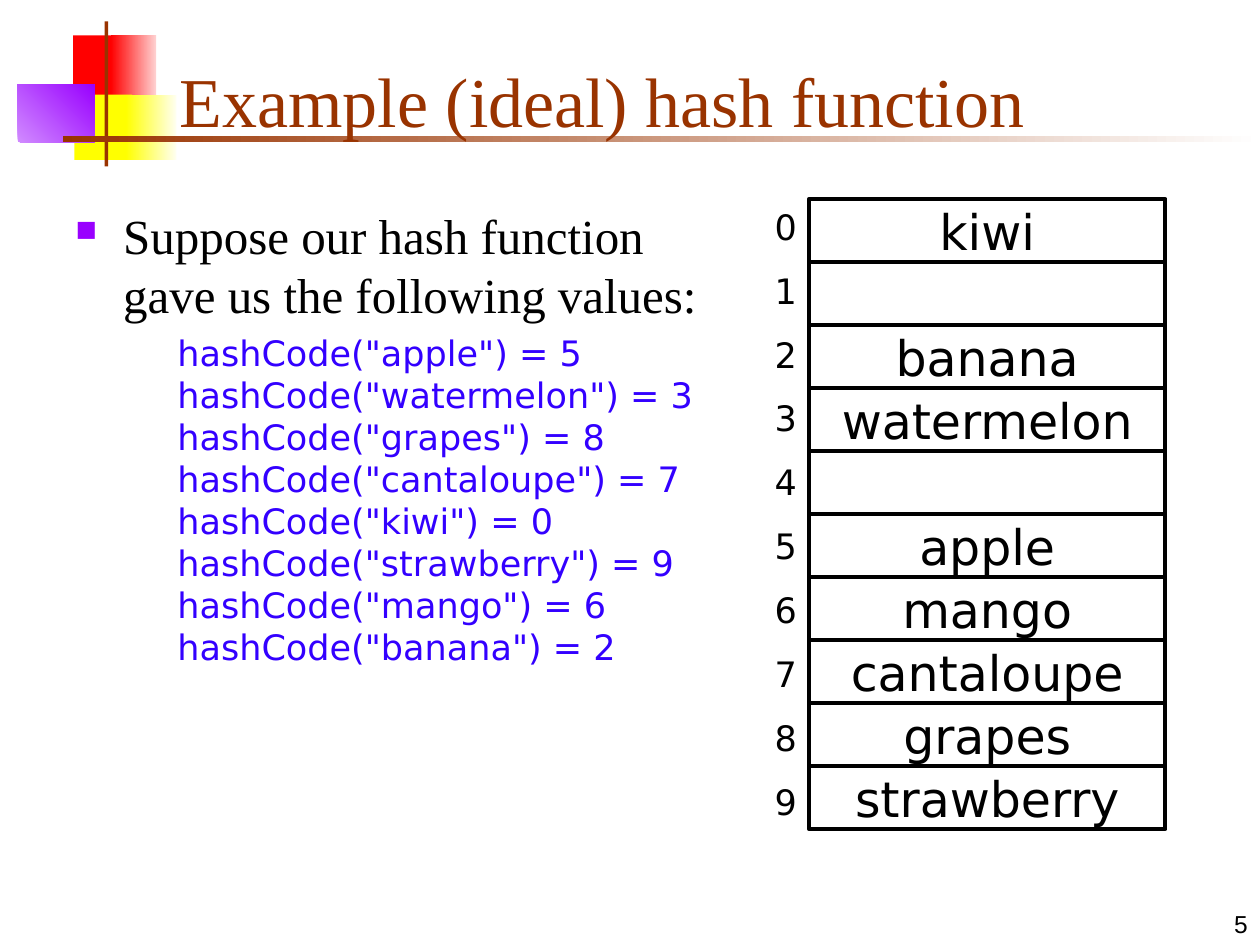
"""Build a slide that shows an ideal hash function and the table it fills."""
import pptx
import pptx.dml.color
import pptx.enum.shapes
import pptx.enum.text
import pptx.oxml
import pptx.oxml.ns
import pptx.util

Inches = pptx.util.Inches
Points = pptx.util.Pt
Align = pptx.enum.text.PP_ALIGN
Anchor = pptx.enum.text.MSO_ANCHOR
Preset = pptx.enum.shapes.MSO_SHAPE

SERIF, SANS = "Times New Roman", "DejaVu Sans"
BLACK, BROWN, PURPLE, BLUE = "000000", "993300", "9900FF", "3300FF"

TITLE = "Example (ideal) hash function"
INTRO = "Suppose our hash function gave us the following values:"
HASH_CODES = [
    ("apple", 5), ("watermelon", 3), ("grapes", 8), ("cantaloupe", 7),
    ("kiwi", 0), ("strawberry", 9), ("mango", 6), ("banana", 2),
]
PAGE_NUMBER = "5"
SLOT_COUNT = 10
TABLE_LEFT, TABLE_TOP, SLOT_WIDTH, SLOT_HEIGHT = 6.42, 1.58, 2.83, 0.5

DECORATIONS = [
    ((0.58, 0.28, 0.35, 0.52), ["FF0000"], 0),
    ((0.88, 0.28, 0.36, 0.52), ["FF0000", "FFD1D1"], 0),
    ((0.59, 0.75, 0.46, 0.52), ["FFFF00"], 0),
    ((1, 0.75, 0.4, 0.52), ["FFFF00", "FFFFF0"], 0),
    ((0.14, 0.67, 0.61, 0.46), ["D18BFF", PURPLE], 45),
    ((0.83, 0.17, 0.03, 1.15), [BROWN], 0),
    ((0.5, 1.08, 9.5, 0.05), [BROWN, "FFFFFF"], 0),
]


def color(value):
    return pptx.dml.color.RGBColor.from_string(value)


def add_run(paragraph, text, size, font, fill):
    run = paragraph.add_run()
    run.text = text
    run.font.size = Points(size)
    run.font.name = font
    run.font.color.rgb = color(fill)


def add_text_box(shapes, box, anchor=Anchor.TOP, wrap=True):
    frame = shapes.add_textbox(*map(Inches, box)).text_frame
    frame.word_wrap = wrap
    frame.vertical_anchor = anchor
    return frame


def add_decoration(shapes, box, colors, angle):
    shape = shapes.add_shape(Preset.RECTANGLE, *map(Inches, box))
    shape.shadow.inherit = False
    shape.line.fill.background()
    if len(colors) == 1:
        shape.fill.solid()
        shape.fill.fore_color.rgb = color(colors[0])
        return
    shape.fill.gradient()
    shape.fill.gradient_angle = angle
    for stop, value in zip(shape.fill.gradient_stops, colors):
        stop.color.rgb = color(value)


def set_indent(paragraph, left, first=0):
    properties = paragraph._p.get_or_add_pPr()
    properties.set("marL", str(Inches(left)))
    properties.set("indent", str(Inches(first)))
    return properties


def add_bullet(properties, character, fill, percent):
    namespace = pptx.oxml.ns.nsdecls("a")
    for markup in (
        f'<a:buClr {namespace}><a:srgbClr val="{fill}"/></a:buClr>',
        f'<a:buSzPct {namespace} val="{percent * 1000}"/>',
        f'<a:buChar {namespace} char="{character}"/>',
    ):
        properties.append(pptx.oxml.parse_xml(markup))


def add_body(shapes):
    frame = add_text_box(shapes, (0.5, 1.58, 5.33, 5.08))
    intro = frame.paragraphs[0]
    intro.space_before = Points(7)
    add_bullet(set_indent(intro, 0.38, -0.38), "■", PURPLE, 60)
    add_run(intro, INTRO, 28, SERIF, BLACK)

    codes = frame.add_paragraph()
    codes.level = 1
    codes.space_before = Points(5)
    set_indent(codes, 0.81)
    for position, (word, code) in enumerate(HASH_CODES):
        if position:
            codes.add_line_break()
        add_run(codes, f'hashCode("{word}") = {code}', 20, SANS, BLUE)


def add_hash_table(shapes):
    words = {code: word for word, code in HASH_CODES}
    for index in range(SLOT_COUNT):
        box = (TABLE_LEFT, TABLE_TOP + index * SLOT_HEIGHT, SLOT_WIDTH, SLOT_HEIGHT)
        slot = shapes.add_shape(Preset.FLOWCHART_PROCESS, *map(Inches, box))
        slot.shadow.inherit = False
        slot.fill.background()
        slot.line.color.rgb = color(BLACK)
        slot.line.width = Points(2.25)
        if index in words:
            frame = slot.text_frame
            frame.word_wrap = False
            frame.vertical_anchor = Anchor.MIDDLE
            frame.paragraphs[0].alignment = Align.CENTER
            add_run(frame.paragraphs[0], words[index], 28, SANS, BLACK)

    box = (6.05, TABLE_TOP, 0.36, SLOT_COUNT * SLOT_HEIGHT)
    frame = add_text_box(shapes, box, wrap=False)
    frame.auto_size = pptx.enum.text.MSO_AUTO_SIZE.SHAPE_TO_FIT_TEXT
    for index in range(SLOT_COUNT):
        paragraph = frame.add_paragraph() if index else frame.paragraphs[0]
        paragraph.space_before = Points(12.5)
        add_run(paragraph, str(index), 20, SANS, BLACK)


def main():
    presentation = pptx.Presentation()
    presentation.slide_width = Inches(10)
    presentation.slide_height = Inches(7.5)
    slide = presentation.slides.add_slide(presentation.slide_layouts[6])
    shapes = slide.shapes

    for box, colors, angle in DECORATIONS:
        add_decoration(shapes, box, colors, angle)

    number = add_text_box(shapes, (7.92, 7, 2.08, 0.5), Anchor.BOTTOM).paragraphs[0]
    number.alignment = Align.RIGHT
    add_run(number, PAGE_NUMBER, 14, "Arial", BLACK)

    title = add_text_box(shapes, (1.33, 0.25, 8.52, 0.92), Anchor.BOTTOM)
    add_run(title.paragraphs[0], TITLE, 40, SERIF, BROWN)

    add_body(shapes)
    add_hash_table(shapes.add_group_shape().shapes)
    presentation.save("out.pptx")


if __name__ == "__main__":
    main()
